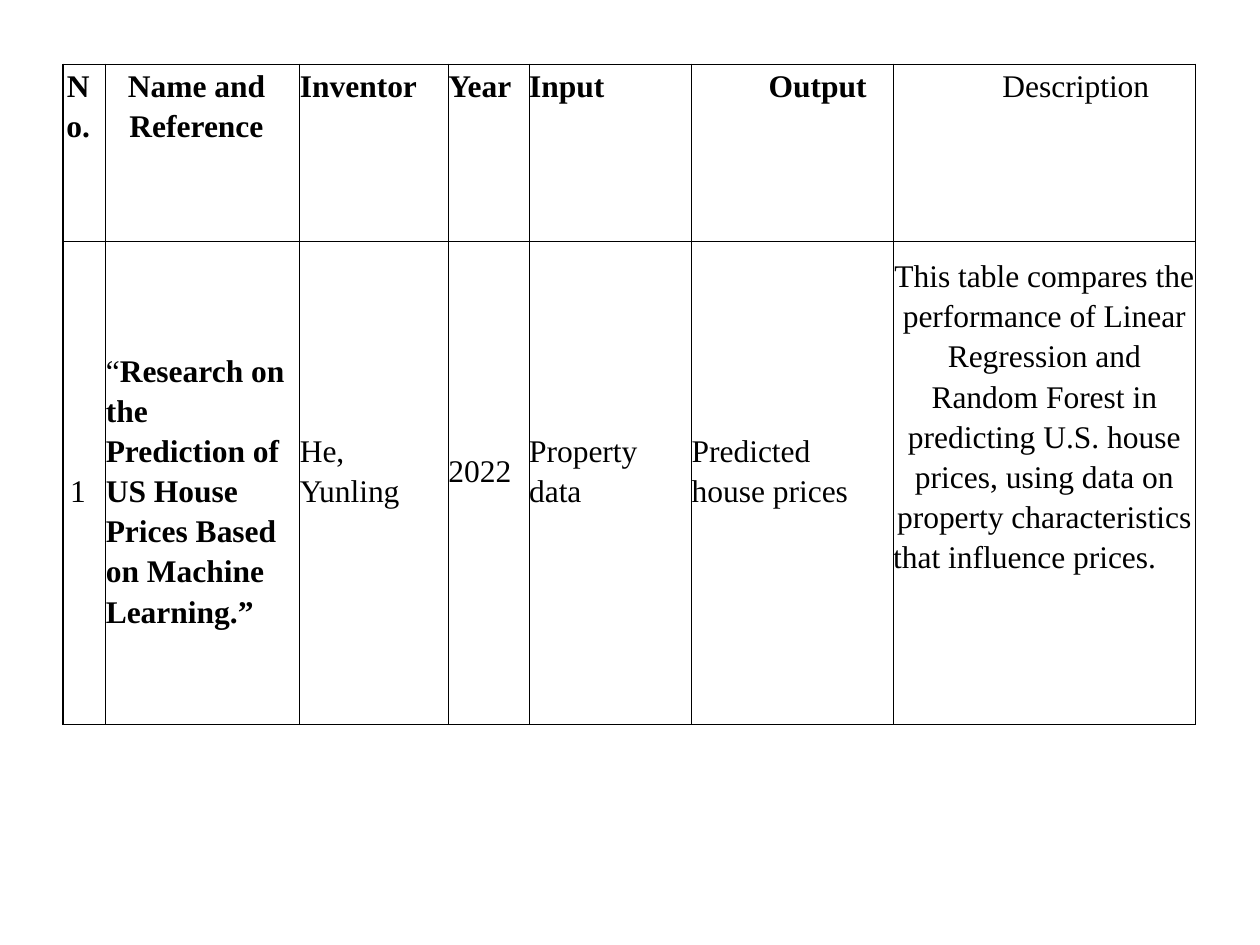
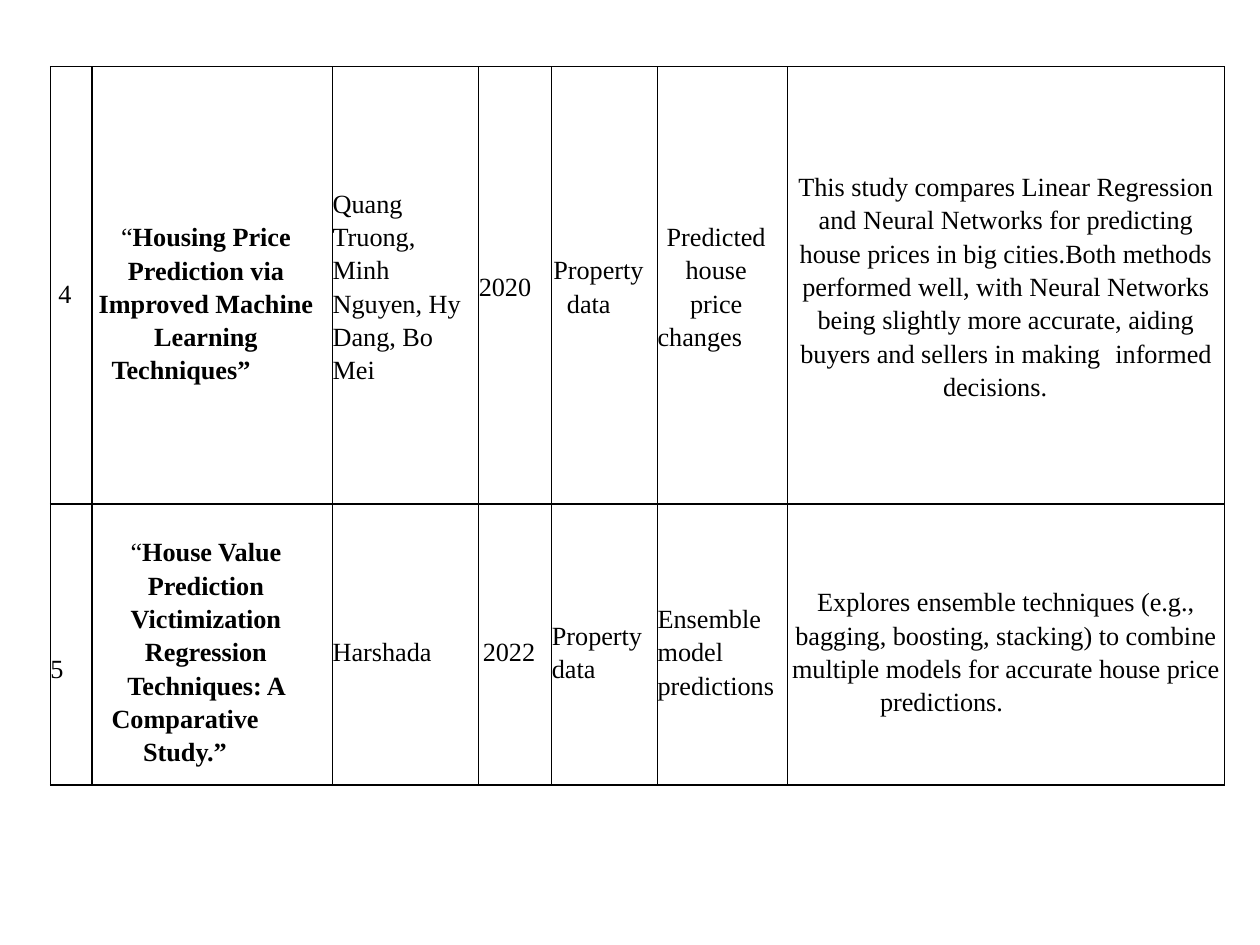
"""Build two slides of a literature survey on house price prediction."""
from dataclasses import dataclass

from lxml import etree
from pptx import Presentation, util as u
from pptx.dml.color import RGBColor
from pptx.enum import text as t
from pptx.oxml import ns


@dataclass(frozen=True)
class Theme:
    font: str = "Times New Roman"
    ink: str = "000000"
    large: int = 18
    medium: int = 15
    border: float = 0.75
    leading: float = 1.15
    gap: int = 12


theme = Theme()
presentation = Presentation()
presentation.slide_width, presentation.slide_height = u.Inches(10), u.Inches(7.5)
column_unit = presentation.slide_width / 100
row_unit = presentation.slide_height / 100


def write(cell, words, size, bold=False, center=False, indent=0, tab=0, after=theme.gap):
    paragraph = cell.text_frame.paragraphs[0]
    paragraph.alignment = t.PP_ALIGN.CENTER if center else t.PP_ALIGN.LEFT
    paragraph.line_spacing = theme.leading
    paragraph.space_before, paragraph.space_after = u.Pt(theme.gap), u.Pt(after)
    properties = paragraph._p.get_or_add_pPr()
    if indent:
        properties.set("marL", str(int(indent * column_unit)))
        properties.set("indent", "0")
    if tab:
        stops = etree.SubElement(properties, ns.qn("a:tabLst"))
        etree.SubElement(stops, ns.qn("a:tab"), pos=str(int(tab * column_unit)), algn="l")
    quote = "“" if words.startswith("“") else ""
    for part, weight in ((quote, False), (words[len(quote):], bold)):
        if part:
            run = paragraph.add_run()
            run.text = part
            run.font.name, run.font.size, run.font.bold = theme.font, u.Pt(size), weight
            run.font.color.rgb = RGBColor.from_string(theme.ink)


def draw_borders(cell):
    properties = cell._tc.get_or_add_tcPr()
    for position, side in enumerate(("lnL", "lnR", "lnT", "lnB")):
        line = etree.Element(ns.qn(f"a:{side}"), w=str(u.Pt(theme.border)))
        fill = etree.SubElement(line, ns.qn("a:solidFill"))
        etree.SubElement(fill, ns.qn("a:srgbClr"), val=theme.ink)
        properties.insert(position, line)


centered = dict(center=True)
title = dict(bold=True, center=True)
heading = dict(bold=True)
raised = dict(after=0, bottom=4.27)

surveys = [
    dict(left=5, top=6.8, size=theme.large,
         columns=[3.4, 15.4, 11.8, 6.4, 12.9, 16, 24], rows=[18.8, 51.07],
         cells=[
             [("No.", dict(title, top_anchor=True)),
              ("Name and Reference", dict(title, top_anchor=True)),
              ("Inventor", dict(heading, top_anchor=True)),
              ("Year", dict(heading, top_anchor=True)),
              ("Input", dict(heading, top_anchor=True)),
              ("Output", dict(title, top_anchor=True, indent=5)),
              ("Description", dict(centered, top_anchor=True, indent=5))],
             [("1", centered),
              ("“Research on the Prediction of US House Prices Based on Machine Learning.”", heading),
              ("He, Yunling", raised),
              ("2022", raised),
              ("Property data", raised),
              ("Predicted house prices", raised),
              ("This table compares the performance of Linear Regression and Random Forest "
               "in predicting U.S. house prices, using data on property characteristics "
               "that influence prices.\t", dict(centered, top_anchor=True))],
         ]),
    dict(left=4, top=7.07, size=theme.medium,
         columns=[3.3, 19.1, 11.6, 5.8, 8.4, 10.3, 34.7], rows=[46.27, 29.73],
         cells=[
             [("4", dict(centered, lower=1.5)),
              ("“Housing Price Prediction via Improved Machine Learning Techniques”\t",
               dict(title, lower=3.6)),
              ("Quang Truong, Minh Nguyen, Hy Dang, Bo Mei", {}),
              ("2020", {}),
              ("Property data\t", centered),
              ("Predicted house price changes\t", centered),
              ("This study compares Linear Regression and Neural Networks for predicting "
               "house prices in big cities.Both methods performed well, with Neural Networks "
               "being slightly more accurate, aiding buyers and sellers in making "
               "\tinformed decisions.\t", centered)],
             [("5", dict(lower=3.6)),
              ("“House Value Prediction Victimization Regression Techniques: "
               "A Comparative \tStudy.”\t", title),
              ("Harshada", {}),
              ("2022", centered),
              ("Property data", {}),
              ("Ensemble model predictions", {}),
              ("Explores ensemble techniques (e.g., bagging, boosting, stacking) to combine "
               "multiple models for accurate house price predictions.\t", dict(centered, tab=20))],
         ]),
]

for survey in surveys:
    slide = presentation.slides.add_slide(presentation.slide_layouts[6])
    columns, rows = survey["columns"], survey["rows"]
    frame = slide.shapes.add_table(
        len(rows), len(columns),
        int(survey["left"] * column_unit), int(survey["top"] * row_unit),
        int(sum(columns) * column_unit), int(sum(rows) * row_unit))
    table = frame.table
    table.first_row = table.horz_banding = False
    for column, width in zip(table.columns, columns):
        column.width = int(width * column_unit)
    for row_index, (row, height) in enumerate(zip(table.rows, rows)):
        row.height = int(height * row_unit)
        for column_index, (words, options) in enumerate(survey["cells"][row_index]):
            cell = table.cell(row_index, column_index)
            layout = dict(options)
            top_anchor = layout.pop("top_anchor", False)
            lower, bottom = layout.pop("lower", 0), layout.pop("bottom", 0)
            cell.vertical_anchor = t.MSO_ANCHOR.TOP if top_anchor else t.MSO_ANCHOR.MIDDLE
            cell.margin_left = 0
            cell.margin_right = int(column_unit) if column_index < len(columns) - 1 else 0
            cell.margin_top = int(row_index * column_unit + lower * row_unit)
            cell.margin_bottom = int(bottom * row_unit)
            cell.fill.background()
            draw_borders(cell)
            write(cell, words, survey["size"], **layout)

presentation.save("out.pptx")
